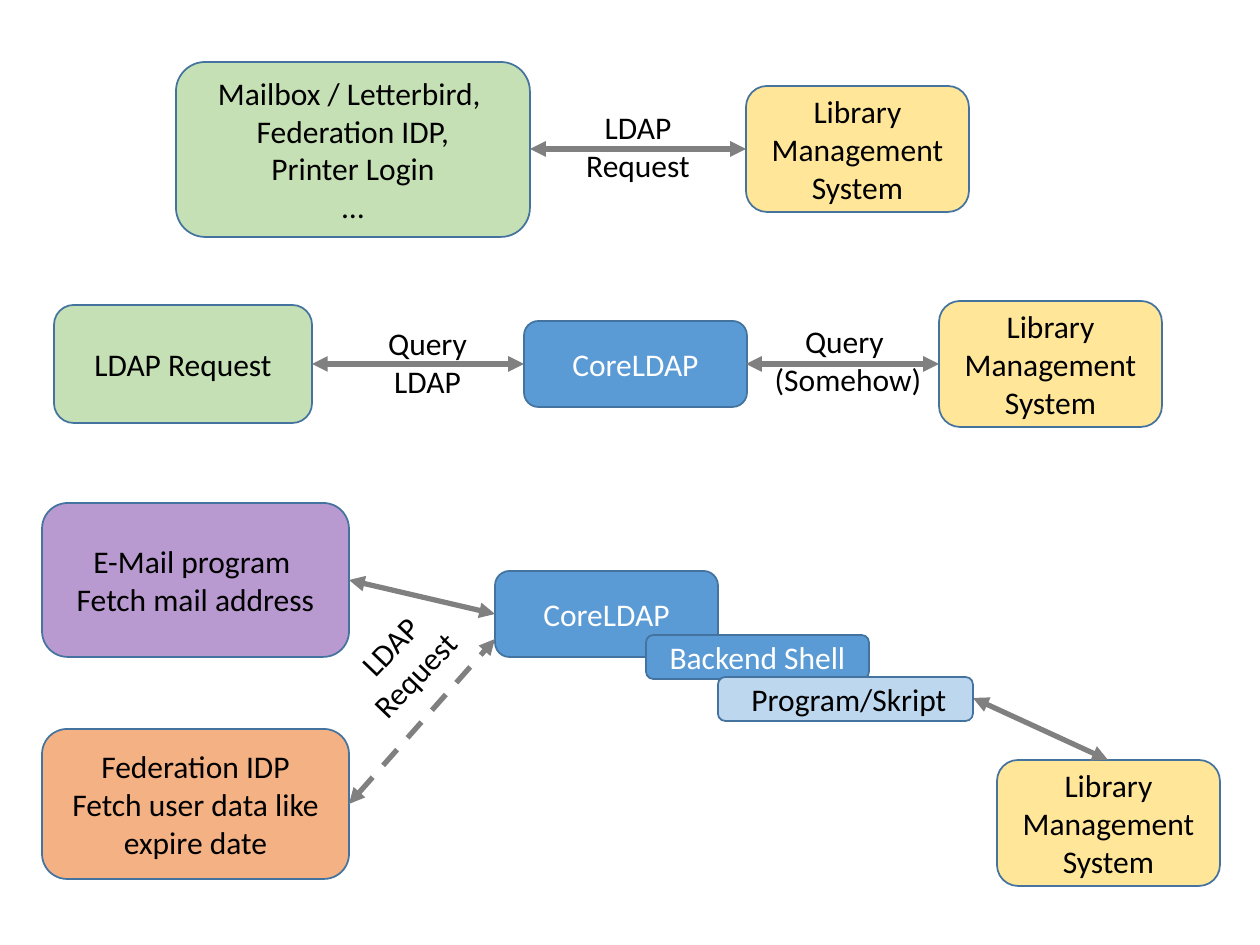
from dataclasses import dataclass

from lxml.etree import SubElement
from pptx import Presentation
from pptx.dml.color import RGBColor
from pptx.enum.dml import MSO_LINE
from pptx.enum.shapes import MSO_CONNECTOR, MSO_SHAPE
from pptx.enum.text import MSO_ANCHOR, PP_ALIGN
from pptx.oxml.ns import qn
from pptx.util import Emu, Pt

EMU_PER_PX = 914400 / 126
LIBRARY_TEXT = "Library Management System"
LIBRARY_SIZE = (223, 126)
SERVER_TEXT = "CoreLDAP"
SERVER_SIZE = (223, 86)
LAYER_HEIGHT = 44
LABEL_HEIGHT = 89


@dataclass(frozen=True)
class Theme:
    """Colours, font and sizes of the diagram."""
    font: str = "Calibri"
    text_size: int = 18
    dark: str = "000000"
    light: str = "FFFFFF"
    outline: str = "43739E"
    arrow: str = "808080"
    client: str = "C5E0B4"
    server: str = "5B9BD5"
    library: str = "FFE699"
    program: str = "BDD7EE"
    mail: str = "7030A0"
    identity: str = "F4B183"
    outline_width: int = 1
    arrow_width: int = 3


THEME = Theme()


def px(value):
    """Turn pixels into EMU."""
    return Emu(round(value * EMU_PER_PX))


def write_text(shape, text, color):
    """Fill a shape with centred paragraphs, one per line of text."""
    frame = shape.text_frame
    frame.text = text
    for paragraph in frame.paragraphs:
        paragraph.alignment = PP_ALIGN.CENTER
        paragraph.font.name = THEME.font
        paragraph.font.size = Pt(THEME.text_size)
        paragraph.font.color.rgb = RGBColor.from_string(color)


def add_box(page, position, size, text, fill, color=THEME.dark, opacity=100):
    """Add a rounded box with centred text."""
    box = page.shapes.add_shape(
        MSO_SHAPE.ROUNDED_RECTANGLE, *map(px, (*position, *size)))
    box.shadow.inherit = False
    box.fill.solid()
    box.fill.fore_color.rgb = RGBColor.from_string(fill)
    if opacity < 100:
        fill_color = box.fill._xPr.find(qn("a:solidFill"))[0]
        SubElement(fill_color, qn("a:alpha"), val=str(opacity * 1000))
    box.line.color.rgb = RGBColor.from_string(THEME.outline)
    box.line.width = Pt(THEME.outline_width)
    box.text_frame.word_wrap = True
    box.text_frame.vertical_anchor = MSO_ANCHOR.MIDDLE
    write_text(box, text, color)


def add_library(page, left, top):
    """Add a library management system box."""
    add_box(page, (left, top), LIBRARY_SIZE, LIBRARY_TEXT, THEME.library)


def add_server(page, left, top):
    """Add a directory server box."""
    add_box(page, (left, top), SERVER_SIZE, SERVER_TEXT, THEME.server, THEME.light)


def add_label(page, left, top, width, text, rotation=0):
    """Add an arrow label without wrapping."""
    label = page.shapes.add_textbox(*map(px, (left, top, width, LABEL_HEIGHT)))
    label.rotation = rotation
    label.text_frame.word_wrap = False
    write_text(label, text, THEME.dark)


def add_arrow(page, start, end, dashed=False):
    """Add a double-headed arrow."""
    arrow = page.shapes.add_connector(
        MSO_CONNECTOR.STRAIGHT, *map(px, (*start, *end)))
    arrow.line.color.rgb = RGBColor.from_string(THEME.arrow)
    arrow.line.width = Pt(THEME.arrow_width)
    if dashed:
        arrow.line.dash_style = MSO_LINE.DASH
    outline = arrow.line._get_or_add_ln()
    for end_tag in ("a:headEnd", "a:tailEnd"):
        SubElement(outline, qn(end_tag), type="triangle")
    SubElement(arrow._element.spPr, qn("a:effectLst"))


def add_direct_access(page):
    """Draw clients asking the library system directly."""
    add_box(page, (176, 62), (354, 175),
            "Mailbox / Letterbird, \nFederation IDP,\nPrinter Login\n…", THEME.client)
    add_library(page, 746, 86)
    add_arrow(page, (530, 149), (746, 149))
    add_label(page, 573, 102, 130, "LDAP\nRequest")


def add_server_access(page):
    """Draw a directory server between client and library system."""
    add_box(page, (54, 305), (258, 118), "LDAP Request", THEME.client)
    add_server(page, 524, 321)
    add_library(page, 939, 301)
    add_arrow(page, (312, 364), (524, 364))
    add_arrow(page, (746, 364), (939, 364))
    add_label(page, 375, 318, 105, "Query\nLDAP")
    add_label(page, 761, 316, 174, "Query \n(Somehow)")


def add_backend_access(page):
    """Draw the directory server with its shell backend and program."""
    add_box(page, (42, 503), (307, 154), "E-Mail program \nFetch mail address",
            THEME.mail, opacity=49)
    add_box(page, (42, 729), (307, 150),
            "Federation IDP\nFetch user data like expire date", THEME.identity)
    add_server(page, 495, 571)
    add_library(page, 997, 760)
    add_arrow(page, (349, 580), (495, 614))
    add_arrow(page, (349, 804), (495, 639), dashed=True)
    add_arrow(page, (973, 698), (1108, 760))
    add_box(page, (646, 635), (223, LAYER_HEIGHT), "Backend Shell",
            THEME.server, THEME.light)
    add_box(page, (718, 677), (255, LAYER_HEIGHT), " Program/Skript", THEME.program)
    add_label(page, 335, 615, 137, "LDAP\nRequest ", rotation=313.8)


def main():
    """Build and save the slide."""
    deck = Presentation()
    deck.slide_width, deck.slide_height = px(1260), px(945)
    page = deck.slides.add_slide(deck.slide_layouts.get_by_name("Blank"))
    add_direct_access(page)
    add_server_access(page)
    add_backend_access(page)
    deck.save("out.pptx")


if __name__ == "__main__":
    main()
